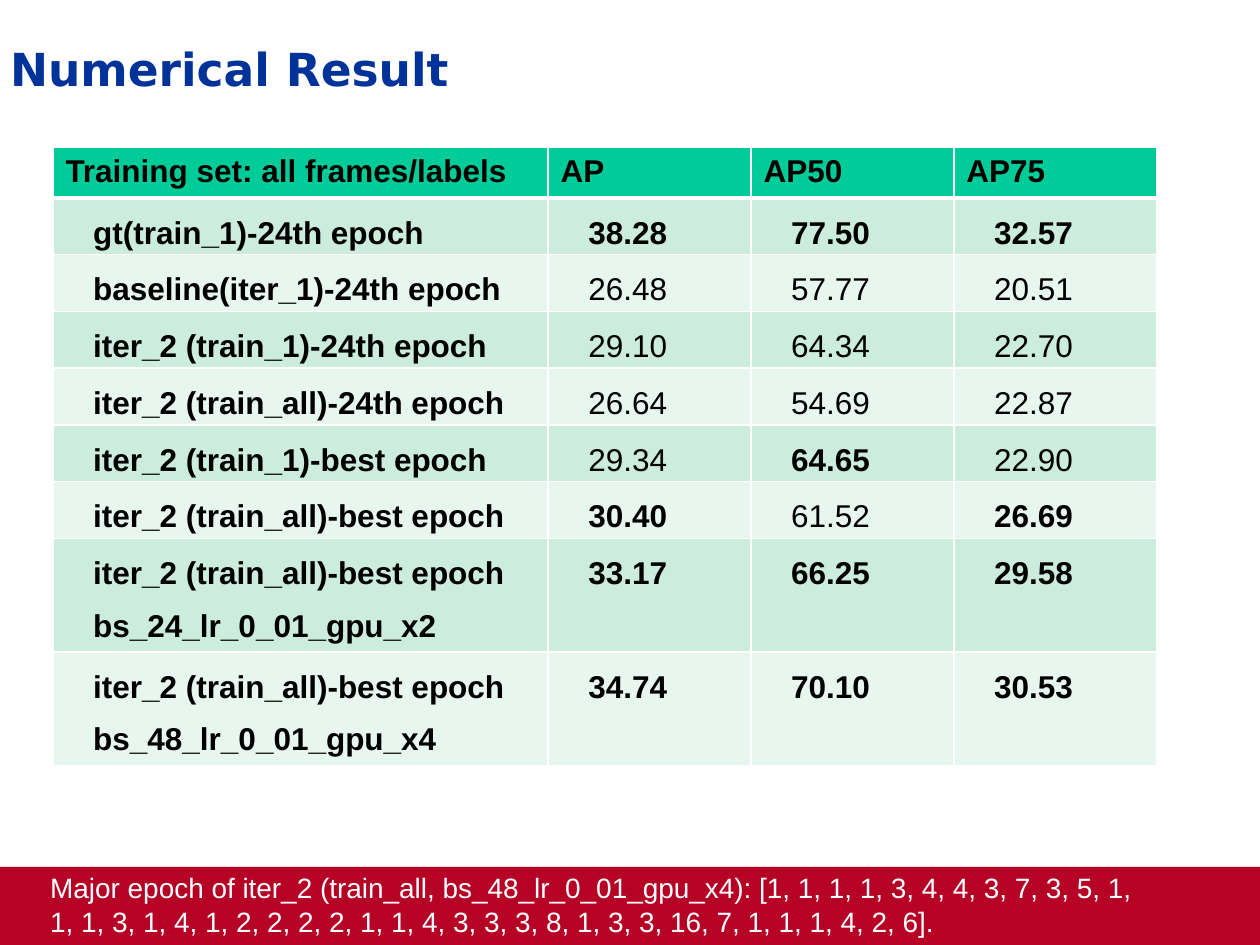
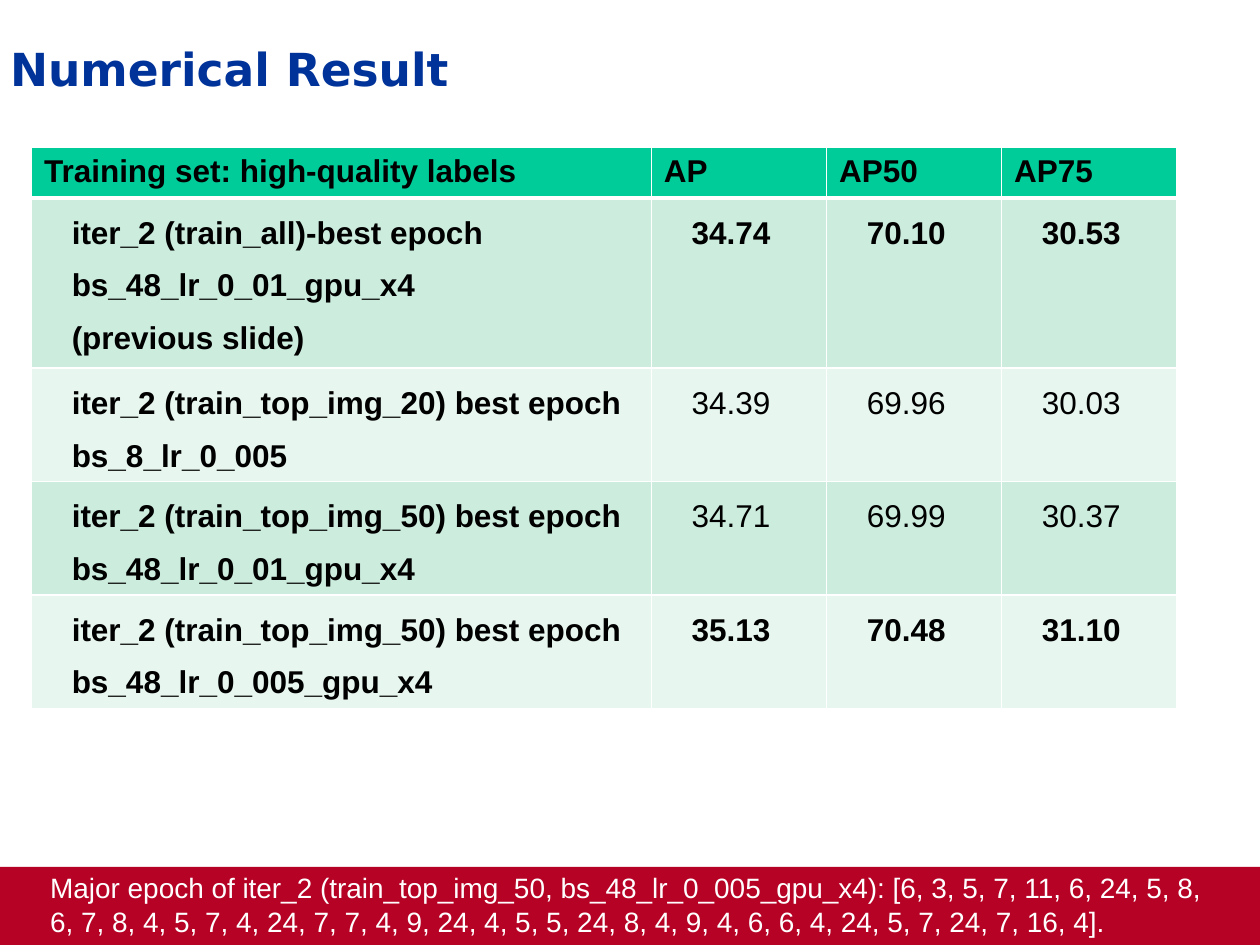
from lxml import etree
from pptx import Presentation, util as u
from pptx.dml.color import RGBColor
from pptx.enum import shapes, text
from pptx.oxml.ns import qn

BLUE, RED, WHITE, BLACK = "003399", "B60225", "FFFFFF", "000000"
HEADER_GREEN = "00CC99"
BANDS = ("CCECDE", "E7F6EF")
HEADER_HEIGHT, LINE_HEIGHT = 0.38, 0.42
METRICS = ("AP", "AP50", "AP75")


def rgb(value):
    return RGBColor.from_string(value)


class Deck:
    """Shared style and the current slide."""

    def __init__(self):
        self.prs = Presentation()
        self.prs.slide_width, self.prs.slide_height = u.Inches(10), u.Inches(7.5)
        self.s = None

    def run(self, p, words, size=18, color=BLACK, bold=False, font="Arial"):
        r = p.add_run()
        r.text = words
        r.font.size, r.font.name, r.font.bold = u.Pt(size), font, bold
        r.font.color.rgb = rgb(color)

    def textbox(self, left, top, width, height):
        box = self.s.shapes.add_textbox(*map(u.Inches, (left, top, width, height)))
        box.text_frame.word_wrap = True
        return box.text_frame

    def title(self, words):
        tf = self.textbox(0.08, 0.19, 9.77, 0.79)
        tf.margin_left = tf.margin_top = 0
        tf.vertical_anchor = text.MSO_ANCHOR.MIDDLE
        p = tf.paragraphs[0]
        p.line_spacing = 0.95
        self.run(p, words, 26, BLUE, True, "DejaVu Sans")

    def band(self):
        sp = self.s.shapes.add_shape(shapes.MSO_SHAPE.RECTANGLE, 0, u.Inches(6.88),
                                     u.Inches(10), u.Inches(0.63))
        sp.shadow.inherit = False
        sp.fill.solid()
        sp.fill.fore_color.rgb = rgb(RED)
        sp.line.fill.background()

    def footer(self, words, width):
        tf = self.textbox(0.3, 6.86, width, 0.64)
        self.run(tf.paragraphs[0], words, 16, WHITE)

    def slide(self, title):
        self.s = self.prs.slides.add_slide(self.prs.slide_layouts[6])
        self.band()
        self.title(title)

    def cell(self, cell, lines, fill, bold, header=False, under_header=False):
        # Borders go before the fill in the cell properties
        tc_pr = cell._tc.get_or_add_tcPr()
        widths = {"lnL": 1, "lnR": 1, "lnT": 3 if under_header else 1,
                  "lnB": 3 if header else 1}
        for side, width in widths.items():
            ln = etree.SubElement(tc_pr, qn("a:" + side), w=str(u.Pt(width)))
            solid = etree.SubElement(ln, qn("a:solidFill"))
            etree.SubElement(solid, qn("a:srgbClr"), val=WHITE)
        cell.fill.solid()
        cell.fill.fore_color.rgb = rgb(fill)
        if not header:
            cell.margin_left = cell.margin_right = u.Inches(0.07)
            cell.margin_top = cell.margin_bottom = 0
        tf = cell.text_frame
        for i, line in enumerate(lines):
            p = tf.paragraphs[0] if i == 0 else tf.add_paragraph()
            if not header:
                p.line_spacing = 1.5
                p_pr = p._p.get_or_add_pPr()
                p_pr.set("marL", str(u.Inches(0.25)))
                p_pr.set("indent", "0")
            self.run(p, line, bold=bold)

    def results(self, left, label_width, metric_width, heading, rows):
        """Rows hold a label, with one line per line break, and metrics; * marks bold."""
        widths = [label_width] + [metric_width] * len(METRICS)
        heights = [HEADER_HEIGHT] + [LINE_HEIGHT * len(row[0].split("\n")) for row in rows]
        frame = self.s.shapes.add_table(
            len(heights), len(widths), u.Inches(left), u.Inches(1.17),
            u.Inches(sum(widths)), u.Inches(sum(heights)))
        table = frame.table
        for column, width in zip(table.columns, widths):
            column.width = u.Inches(width)
        for row, height in zip(table.rows, heights):
            row.height = u.Inches(height)
        for c, words in enumerate((heading, *METRICS)):
            self.cell(table.cell(0, c), [words], HEADER_GREEN, True, header=True)
        for n, (label, *values) in enumerate(rows):
            fill = BANDS[n % 2]
            self.cell(table.cell(n + 1, 0), label.split("\n"), fill, True,
                      under_header=n == 0)
            for c, value in enumerate(values, 1):
                self.cell(table.cell(n + 1, c), [value.rstrip("*")], fill,
                          value.endswith("*"), under_header=n == 0)


def main():
    deck = Deck()

    # Training on all frames
    deck.slide("Numerical Result")
    deck.results(0.42, 3.93, 1.61, "Training set: all frames/labels", [
        ("gt(train_1)-24th epoch", "38.28*", "77.50*", "32.57*"),
        ("baseline(iter_1)-24th epoch", "26.48", "57.77", "20.51"),
        ("iter_2 (train_1)-24th epoch", "29.10", "64.34", "22.70"),
        ("iter_2 (train_all)-24th epoch", "26.64", "54.69", "22.87"),
        ("iter_2 (train_1)-best epoch", "29.34", "64.65*", "22.90"),
        ("iter_2 (train_all)-best epoch", "30.40*", "61.52", "26.69*"),
        ("iter_2 (train_all)-best epoch\nbs_24_lr_0_01_gpu_x2", "33.17*", "66.25*", "29.58*"),
        ("iter_2 (train_all)-best epoch\nbs_48_lr_0_01_gpu_x4", "34.74*", "70.10*", "30.53*"),
    ])
    deck.footer("Major epoch of iter_2 (train_all, bs_48_lr_0_01_gpu_x4): "
                "[1, 1, 1, 1, 3, 4, 4, 3, 7, 3, 5, 1, 1, 1, 3, 1, 4, 1, 2, 2, 2, 2, 1, 1, "
                "4, 3, 3, 3, 8, 1, 3, 3, 16, 7, 1, 1, 1, 4, 2, 6].", 8.98)

    # Training on high-quality labels
    deck.slide("Numerical Result")
    deck.results(0.25, 4.92, 1.39, "Training set: high-quality labels", [
        ("iter_2 (train_all)-best epoch\nbs_48_lr_0_01_gpu_x4\n(previous slide)",
         "34.74*", "70.10*", "30.53*"),
        ("iter_2 (train_top_img_20) best epoch\nbs_8_lr_0_005", "34.39", "69.96", "30.03"),
        ("iter_2 (train_top_img_50) best epoch\nbs_48_lr_0_01_gpu_x4",
         "34.71", "69.99", "30.37"),
        ("iter_2 (train_top_img_50) best epoch\nbs_48_lr_0_005_gpu_x4",
         "35.13*", "70.48*", "31.10*"),
    ])
    deck.footer("Major epoch of iter_2 (train_top_img_50, bs_48_lr_0_005_gpu_x4): "
                "[6, 3, 5, 7, 11, 6, 24, 5, 8, 6, 7, 8, 4, 5, 7, 4, 24, 7, 7, 4, 9, 24, 4, 5, "
                "5, 24, 8, 4, 9, 4, 6, 6, 4, 24, 5, 7, 24, 7, 16, 4].", 9.55)

    deck.prs.save("out.pptx")


if __name__ == "__main__":
    main()
